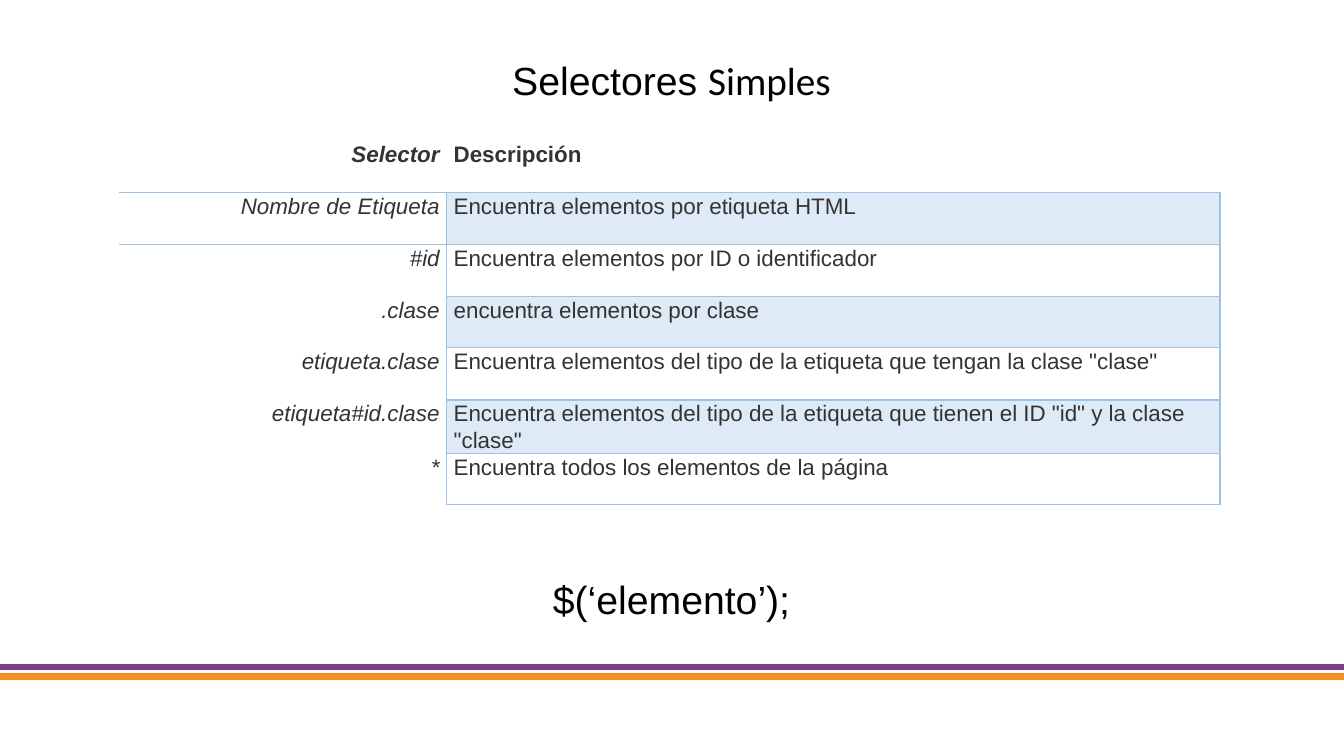
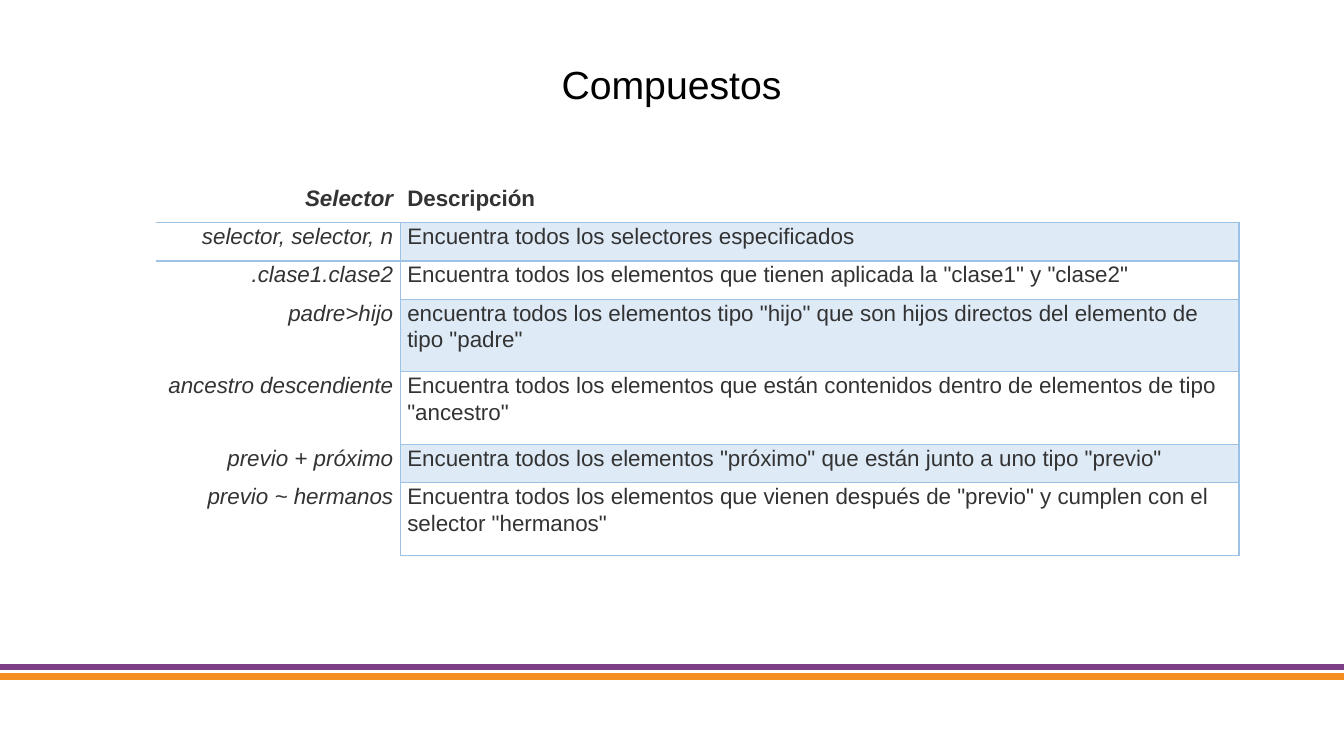
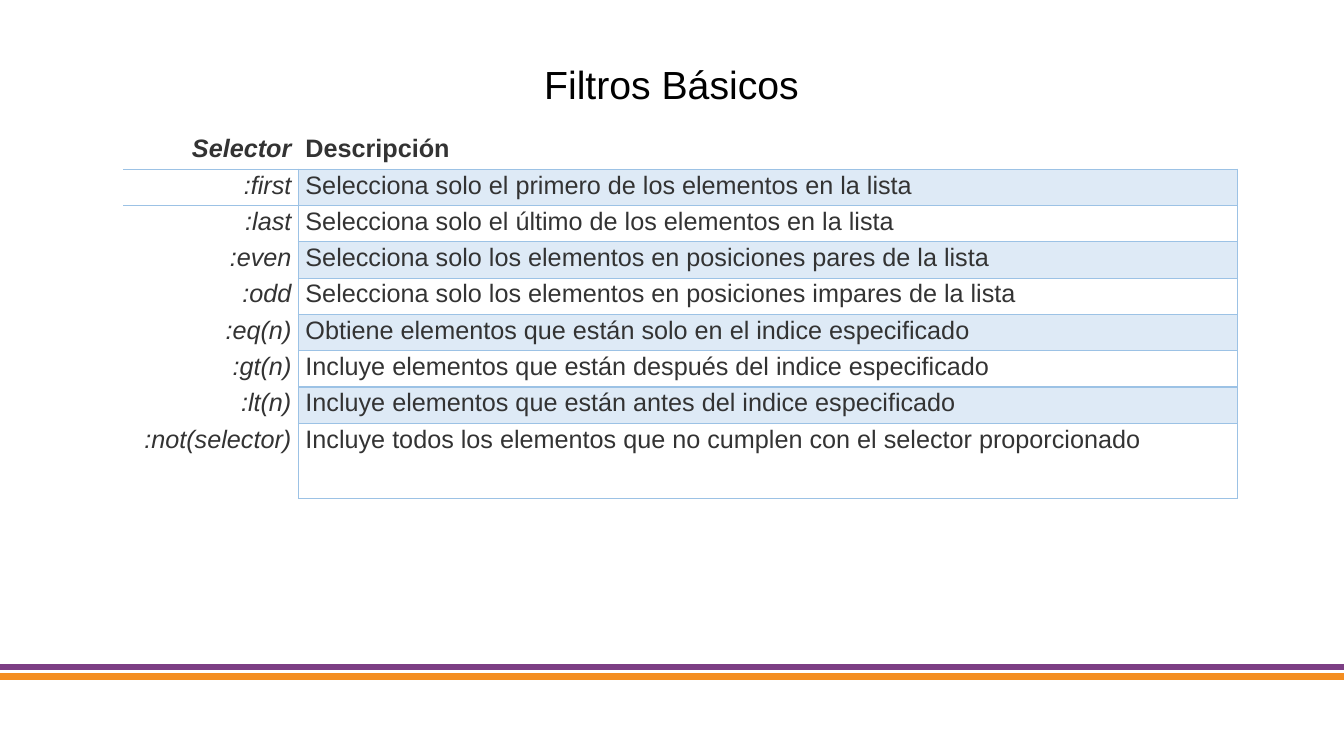
from lxml.etree import SubElement
from pptx import Presentation
from pptx.dml.color import RGBColor
from pptx.enum.shapes import MSO_CONNECTOR as Connector
from pptx.enum.text import MSO_ANCHOR as Anchor, MSO_AUTO_SIZE as AutoSize, PP_ALIGN as Align
from pptx.oxml.ns import qn
from pptx.util import Inches, Pt

BLACK, INK, WHITE = "000000", "333333", "FFFFFF"
RULE, BAND = "9CC2E5", "DEEAF6"
STRIPES = [(6.62, "7C3E84"), (6.71, "F48E21")]
PLAIN_TABLE = "{2D5ABB26-0587-4C30-8999-92F81FD0307C}"
HEADER = ("Selector", "Descripción")


def color(value):
    return RGBColor.from_string(value)


def add_border(properties, side):
    line = SubElement(properties, qn("a:ln" + side), w=str(Pt(1)))
    fill = SubElement(line, qn("a:solidFill"))
    SubElement(fill, qn("a:srgbClr"), val=RULE)


PAGES = [
    dict(
        title=[("Selectores ", "Arial"), ("Simples", "Calibri")],
        closing="$(‘elemento’);", spacing=0.8, size=16,
        corner=(1.18, 1.4), columns=(3.25, 7.67),
        heights=(0.51, 0.52, 0.51, 0.51, 0.52, 0.51, 0.51),
        rows=[
            ("Nombre de Etiqueta", "Encuentra elementos por etiqueta HTML"),
            ("#id", "Encuentra elementos por ID o identificador"),
            (".clase", "encuentra elementos por clase"),
            ("etiqueta.clase", 'Encuentra elementos del tipo de la etiqueta que tengan la clase "clase"'),
            ("etiqueta#id.clase",
             'Encuentra elementos del tipo de la etiqueta que tienen el ID "id" y la clase "clase"'),
            ("*", "Encuentra todos los elementos de la página"),
        ],
    ),
    dict(
        title=[("Compuestos", "Arial")],
        closing="", spacing=0.9, size=16,
        corner=(1.55, 1.83), columns=(2.42, 8.32),
        heights=(0.38, 0.38, 0.38, 0.72, 0.72, 0.38, 0.72),
        rows=[
            ("selector, selector, n", "Encuentra todos los selectores especificados"),
            (".clase1.clase2", 'Encuentra todos los elementos que tienen aplicada la "clase1" y "clase2"'),
            ("padre>hijo",
             'encuentra todos los elementos tipo "hijo" que son hijos directos del elemento de tipo "padre"'),
            ("ancestro descendiente",
             'Encuentra todos los elementos que están contenidos dentro de elementos de tipo "ancestro"'),
            ("previo + próximo", 'Encuentra todos los elementos "próximo" que están junto a uno tipo "previo"'),
            ("previo ~ hermanos",
             'Encuentra todos los elementos que vienen después de "previo" y cumplen con el selector "hermanos"'),
        ],
    ),
    dict(
        title=[("Filtros Básicos", "Arial")],
        closing="", spacing=0.9, size=18,
        corner=(1.22, 1.32), columns=(1.74, 9.31),
        heights=(0.36,) * 8 + (0.75,),
        rows=[
            (":first", "Selecciona solo el primero de los elementos en la lista"),
            (":last", "Selecciona solo el último de los elementos en la lista"),
            (":even", "Selecciona solo los elementos en posiciones pares de la lista"),
            (":odd", "Selecciona solo los elementos en posiciones impares de la lista"),
            (":eq(n)", "Obtiene elementos que están solo en el indice especificado"),
            (":gt(n)", "Incluye elementos que están después del indice especificado"),
            (":lt(n)", "Incluye elementos que están antes del indice especificado"),
            (":not(selector)", "Incluye todos los elementos que no cumplen con el selector proporcionado"),
        ],
    ),
]

deck = Presentation()
deck.slide_width, deck.slide_height = Inches(13.33), Inches(7.5)
layout = deck.slide_layouts[5]

for page in PAGES:
    slide = deck.slides.add_slide(layout)

    title = slide.shapes.title
    title.left, title.top = Inches(1.66), Inches(0.6)
    title.width, title.height = Inches(10), Inches(5.79)
    frame = title.text_frame
    frame.auto_size = AutoSize.NONE
    frame.vertical_anchor = Anchor.TOP
    for text, font in page["title"]:
        span = frame.paragraphs[0].add_run()
        span.text = text
        span.font.name = font
    if page["closing"]:
        frame.add_paragraph().text = page["closing"]
    for para, gap in zip(frame.paragraphs, (10, 344)):
        para.alignment = Align.CENTER
        para.line_spacing = page["spacing"]
        para.space_before = Pt(gap)
        para.font.name = "Arial"
        para.font.size = Pt(28)
        para.font.color.rgb = color(BLACK)

    for height, tint in STRIPES:
        stripe = slide.shapes.add_connector(
            Connector.STRAIGHT, 0, Inches(height), deck.slide_width, Inches(height))
        stripe.line.color.rgb = color(tint)
        stripe.line.width = Pt(4.5)
        SubElement(stripe.element.spPr, qn("a:effectLst"))

    rows = [HEADER] + page["rows"]
    left, top = page["corner"]
    box = slide.shapes.add_table(
        len(rows), 2, Inches(left), Inches(top),
        Inches(sum(page["columns"])), Inches(sum(page["heights"])))
    table = box.table
    table.first_row = table.horz_banding = False
    next(box.element.iter(qn("a:tableStyleId"))).text = PLAIN_TABLE
    for column, width in zip(table.columns, page["columns"]):
        column.width = Inches(width)
    for row, height in zip(table.rows, page["heights"]):
        row.height = Inches(height)

    for index, (cell, node) in enumerate(zip(table.iter_cells(), box.element.iter(qn("a:tc")))):
        row, column = divmod(index, 2)
        cell.margin_left = cell.margin_right = Inches(0.07)
        cell.margin_top = cell.margin_bottom = 0
        if row == 0:
            sides = "B"
        elif column == 1:
            sides = "LRTB"
        else:
            sides = "RT" if row == 1 else "R"
        for side in sides:
            add_border(node.find(qn("a:tcPr")), side)
        cell.fill.solid()
        cell.fill.fore_color.rgb = color(BAND if column == 1 and row % 2 else WHITE)

        cell.text = rows[row][column]
        para = cell.text_frame.paragraphs[0]
        para.alignment = Align.LEFT if column else Align.RIGHT
        para.line_spacing = 1.07
        para.space_after = Pt(15)
        para.font.name = "Arial"
        para.font.size = Pt(page["size"])
        para.font.bold = row == 0
        para.font.italic = column == 0
        para.font.color.rgb = color(INK)

deck.save("out.pptx")
